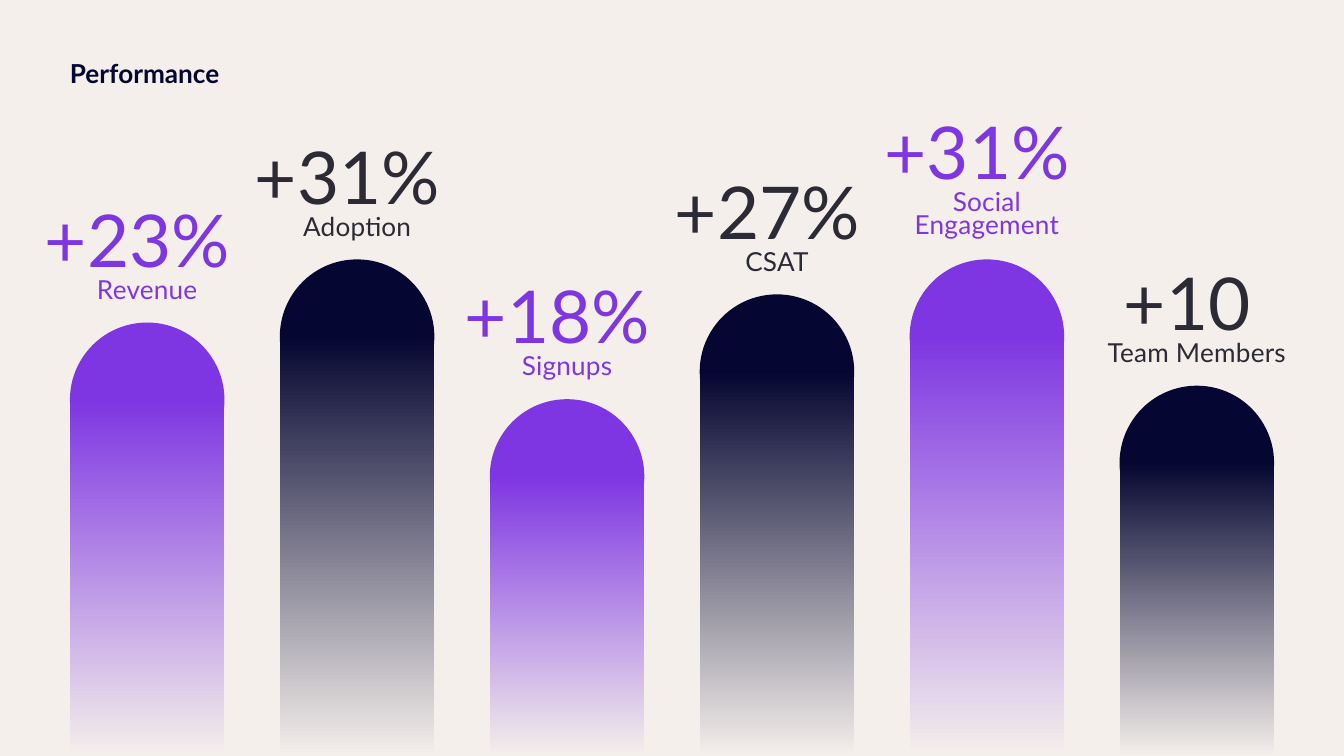
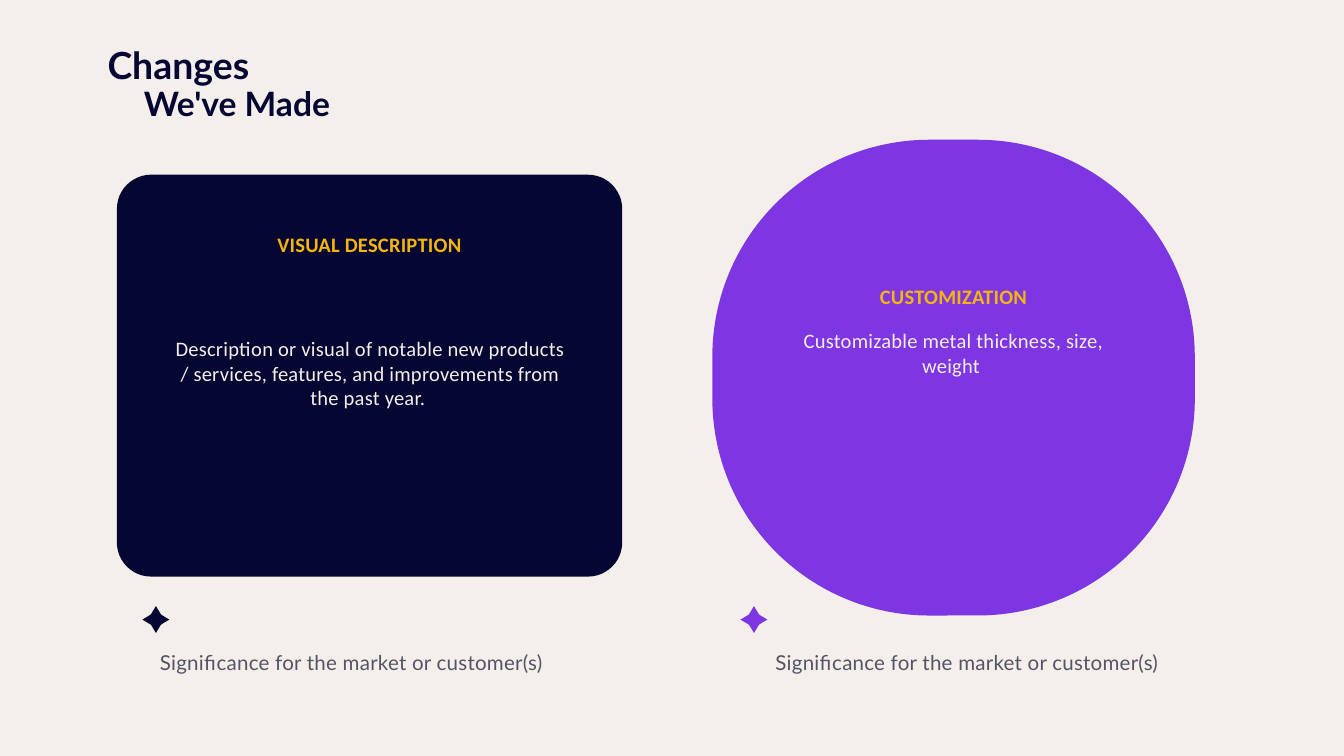
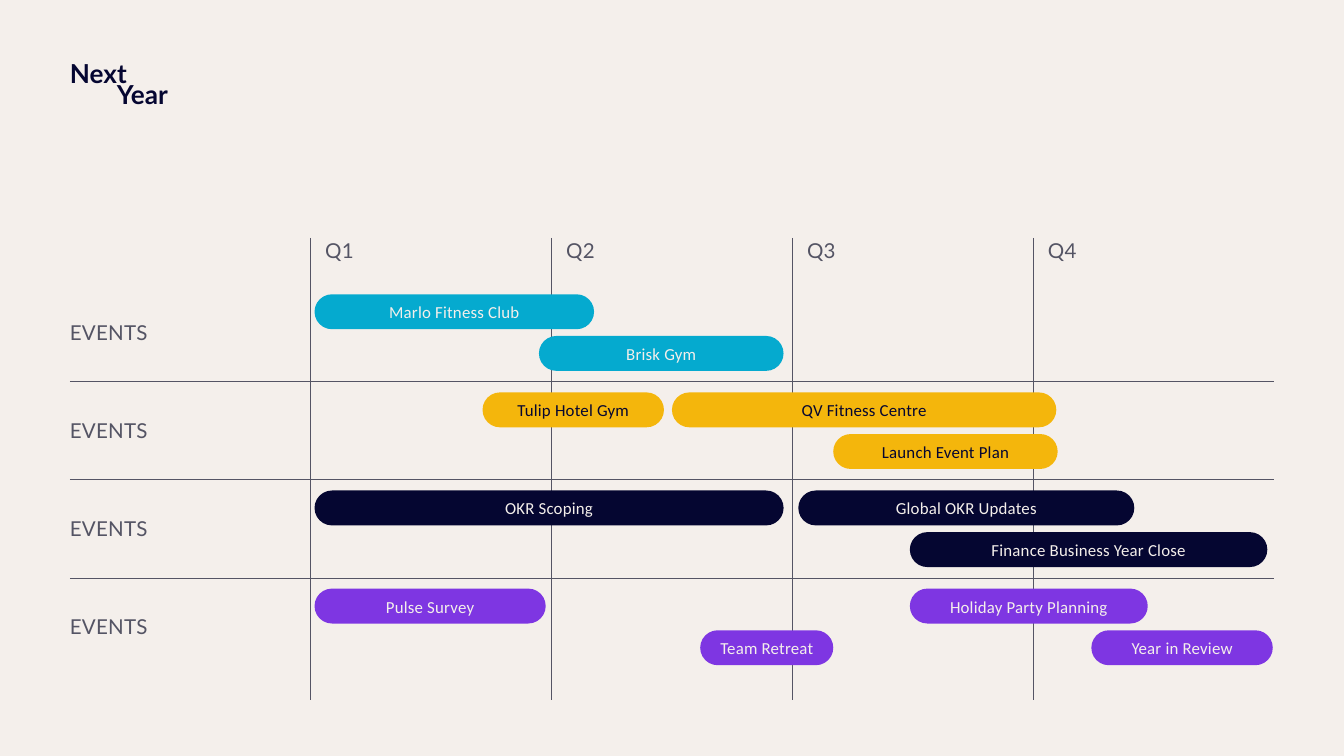
"""Build three annual review slides: performance, changes and next year's plan."""
import math
from dataclasses import dataclass, replace
from typing import NamedTuple

from pptx import Presentation
from pptx import util as u
from pptx.dml.color import RGBColor
from pptx.enum import shapes, text
from pptx.oxml.xmlchemy import OxmlElement

CREAM, NAVY, PURPLE = "F4EFEB", "050631", "7E36E2"
GOLD, CYAN, SLATE, CHARCOAL = "F4B60C", "05AACF", "545464", "2B2A35"
LEFT, RIGHT = 0.52, 9.48
SLIDE_WIDTH = 10
SLIDE_HEIGHT = SLIDE_WIDTH * 9 / 16
OVAL = shapes.MSO_SHAPE.OVAL
ROUNDED = shapes.MSO_SHAPE.ROUNDED_RECTANGLE
TRIANGLE = shapes.MSO_SHAPE.ISOSCELES_TRIANGLE


class Box(NamedTuple):
    left: float
    top: float
    width: float
    height: float

    def lengths(self):
        return [u.Inches(value) for value in self]


@dataclass(frozen=True)
class Style:
    size: float
    colour: str
    leading: float
    font: str = "Lato"
    bold: bool = False
    centred: bool = False
    tracking: int = 10


TITLE = Style(14, NAVY, 10.1, bold=True, tracking=0)
LABEL = Style(11, SLATE, 13.1)
HEADING = Style(11, GOLD, 13.1, "Calibri", bold=True, centred=True)
BODY = Style(11, CREAM, 13.1, "Calibri", centred=True)
PILL = Style(9, CREAM, 11.2, "Calibri", centred=True)


class Bar(NamedTuple):
    value: str
    label: str
    top: float
    label_height: float = 0.66


class Card(NamedTuple):
    box: Box
    corner: float
    colour: str
    heading: str
    heading_inset: float
    body_box: Box
    body: str
    body_inset: float
    star_x: float
    caption_left: float
    caption_width: float


class Event(NamedTuple):
    name: str
    band: int
    row: int
    left: float
    width: float


BARS = [
    Bar("+23%", "Revenue", 2.4),
    Bar("+31%", "Adoption", 1.93),
    Bar("+18%", "Signups", 2.97),
    Bar("+27%", "CSAT", 2.19),
    Bar("+31%", "Social Engagement", 1.93, 0.84),
    Bar("+10", "Team Members", 2.87),
]

CARDS = [
    Card(Box(0.87, 1.3, 3.76, 2.99), 0.085, NAVY, "VISUAL DESCRIPTION", 0.35,
         Box(1.06, 2.24, 3.39, 1.83),
         "Description or visual of notable new products\v/ services, "
         "features, and improvements from the past year. ", 0.22, 1.16, 1.19, 3.4),
    Card(Box(5.3, 1.04, 3.59, 3.54), 0.456, PURPLE, "CUSTOMIZATION", 0.6,
         Box(5.51, 2.24, 3.17, 1.46),
         "Customizable metal thickness, size,\nweight ", 0.17, 5.61, 5.77, 3.12),
]

BAND_COLOURS = [(CYAN, CREAM), (GOLD, NAVY), (NAVY, CREAM), (PURPLE, CREAM)]
EVENTS = [
    Event("Marlo Fitness Club", 0, 0, 2.34, 2.08),
    Event("Brisk Gym", 0, 1, 4.01, 1.82),
    Event("Tulip Hotel Gym", 1, 0, 3.59, 1.35),
    Event("QV Fitness Centre", 1, 0, 5, 2.86),
    Event("Launch Event Plan", 1, 1, 6.2, 1.67),
    Event("OKR Scoping", 2, 0, 2.34, 3.49),
    Event("Global OKR Updates", 2, 0, 5.94, 2.5),
    Event("Finance Business Year Close", 2, 1, 6.77, 2.66),
    Event("Pulse Survey", 3, 0, 2.34, 1.72),
    Event("Holiday Party Planning", 3, 0, 6.77, 1.77),
    Event("Team Retreat", 3, 1, 5.21, 0.99),
    Event("Year in Review", 3, 1, 8.12, 1.35),
]


def rgb(colour: str) -> RGBColor:
    return RGBColor.from_string(colour)


def write(shape, content: str, styles: list[Style], inset=(0, 0), middle=False) -> None:
    frame = shape.text_frame
    frame.text = content
    frame.word_wrap = True
    frame.auto_size = text.MSO_AUTO_SIZE.NONE
    frame.vertical_anchor = text.MSO_ANCHOR.MIDDLE if middle else text.MSO_ANCHOR.TOP
    frame.margin_left = frame.margin_right = u.Inches(inset[0])
    frame.margin_top = frame.margin_bottom = u.Inches(inset[1])
    for index, paragraph in enumerate(frame.paragraphs):
        style = styles[min(index, len(styles) - 1)]
        paragraph.alignment = text.PP_ALIGN.CENTER if style.centred else text.PP_ALIGN.LEFT
        paragraph.line_spacing = u.Pt(style.leading)
        for run in paragraph.runs:
            run.font.name = style.font
            run.font.size = u.Pt(style.size)
            run.font.bold = style.bold
            run.font.color.rgb = rgb(style.colour)
            run._r.get_or_add_rPr().set("spc", str(style.tracking))


def add_text(slide, box: Box, content: str, *styles: Style, middle=False) -> None:
    write(slide.shapes.add_textbox(*box.lengths()), content, list(styles), middle=middle)


def add_shape(slide, kind, box: Box, colour: str | None = None, corner: float | None = None):
    shape = slide.shapes.add_shape(kind, *box.lengths())
    shape.shadow.inherit = False
    shape.line.fill.background()
    if colour:
        shape.fill.solid()
        shape.fill.fore_color.rgb = rgb(colour)
    else:
        shape.fill.background()
    if corner is not None:
        shape.adjustments[0] = corner
    return shape


def add_line(slide, x1: float, y1: float, x2: float, y2: float) -> None:
    ends = [u.Inches(value) for value in (x1, y1, x2, y2)]
    line = slide.shapes.add_connector(shapes.MSO_CONNECTOR.STRAIGHT, *ends)
    line.line.color.rgb = rgb(SLATE)
    line.line.width = u.Pt(0.42)
    line._element.spPr.append(OxmlElement("a:effectLst"))


def add_slide(presentation, title: str, box: Box, style: Style = TITLE):
    slide = presentation.slides.add_slide(presentation.slide_layouts[5])
    heading = slide.shapes.title
    heading.left, heading.top, heading.width, heading.height = box.lengths()
    write(heading, title, [style])
    return slide


def add_bar(slide, bar: Bar, left: float, width: float, colour: str, ink: str) -> None:
    add_shape(slide, OVAL, Box(left, bar.top, width, width), colour)
    middle = bar.top + 0.57
    column = add_shape(slide, ROUNDED, Box(left, middle, width, SLIDE_HEIGHT - middle), corner=0)
    column.fill.gradient()
    column.fill.gradient_angle = 90
    for stop, shade in zip(column.fill.gradient_stops, (CREAM, colour)):
        stop.color.rgb = rgb(shade)
    value = Style(39, ink, 35.1, centred=True)
    label_box = Box(left - 0.22, bar.top - 0.13 - bar.label_height, 1.59, bar.label_height)
    add_text(slide, label_box, f"{bar.value} \n{bar.label}",
             value, replace(value, size=14, leading=12.2))


def add_star(slide, x: float, y: float, colour: str) -> None:
    width, height, reach = 0.12, 0.1, 0.05
    for angle in range(0, 360, 90):
        left = x + reach * math.sin(math.radians(angle)) - width / 2
        top = y - reach * math.cos(math.radians(angle)) - height / 2
        add_shape(slide, TRIANGLE, Box(left, top, width, height), colour).rotation = angle


def add_card(slide, card: Card) -> None:
    panel = add_shape(slide, ROUNDED, card.box, card.colour, card.corner)
    write(panel, card.heading, [HEADING], (0.2, card.heading_inset))
    body = add_shape(slide, ROUNDED, card.body_box, corner=0.08)
    write(body, card.body, [BODY], (0.18, card.body_inset))
    add_star(slide, card.star_x, 4.61, card.colour)
    add_text(slide, Box(card.caption_left, 4.84, card.caption_width, 0.18),
             "Significance for the market or customer(s)", LABEL)


def build_performance(presentation) -> None:
    slide = add_slide(presentation, "Performance", Box(LEFT, 0.52, 1.3, 0.14))
    width = 1.15
    pitch = (RIGHT - LEFT - width) / (len(BARS) - 1)
    for index, bar in enumerate(BARS):
        colour, ink = (NAVY, CHARCOAL) if index % 2 else (PURPLE, PURPLE)
        add_bar(slide, bar, LEFT + index * pitch, width, colour, ink)


def build_changes(presentation) -> None:
    slide = add_slide(presentation, "Changes", Box(0.8, 0.51, 1.52, 0.42),
                      replace(TITLE, size=20))
    add_text(slide, Box(1.07, 0.78, 1.7, 0.3), "We've Made", replace(TITLE, size=18))
    for card in CARDS:
        add_card(slide, card)


def build_next_year(presentation) -> None:
    slide = add_slide(presentation, "Next", Box(LEFT, 0.52, 1.25, 0.14))
    add_text(slide, Box(0.87, 0.68, 1.72, 0.14), "Year", TITLE)
    grid_left, grid_top, grid_bottom, band_height = 2.31, 1.77, 5.21, 0.73
    quarter_width = (RIGHT - grid_left) / 4
    for quarter in range(4):
        x = grid_left + quarter * quarter_width
        add_line(slide, x, grid_top, x, grid_bottom)
        add_text(slide, Box(x + 0.11, grid_top, 1.56, 0.18), f"Q{quarter + 1}", LABEL)
    for band in range(4):
        offset = band * band_height
        add_text(slide, Box(LEFT, 2.38 + offset, 1.67, 0.18), "EVENTS", LABEL, middle=True)
        if band < 3:
            add_line(slide, LEFT, 2.84 + offset, RIGHT, 2.84 + offset)
    for event in EVENTS:
        fill, ink = BAND_COLOURS[event.band]
        top = 2.19 + event.band * band_height + event.row * 0.31
        pill = add_shape(slide, ROUNDED, Box(event.left, top, event.width, 0.26), fill, 0.5)
        write(pill, event.name, [replace(PILL, colour=ink)], (0.05, 0.03), middle=True)


def main() -> None:
    presentation = Presentation()
    presentation.slide_width = u.Inches(SLIDE_WIDTH)
    presentation.slide_height = u.Inches(SLIDE_HEIGHT)
    background = presentation.slide_master.background.fill
    background.solid()
    background.fore_color.rgb = rgb(CREAM)
    build_performance(presentation)
    build_changes(presentation)
    build_next_year(presentation)
    presentation.save("out.pptx")


if __name__ == "__main__":
    main()
